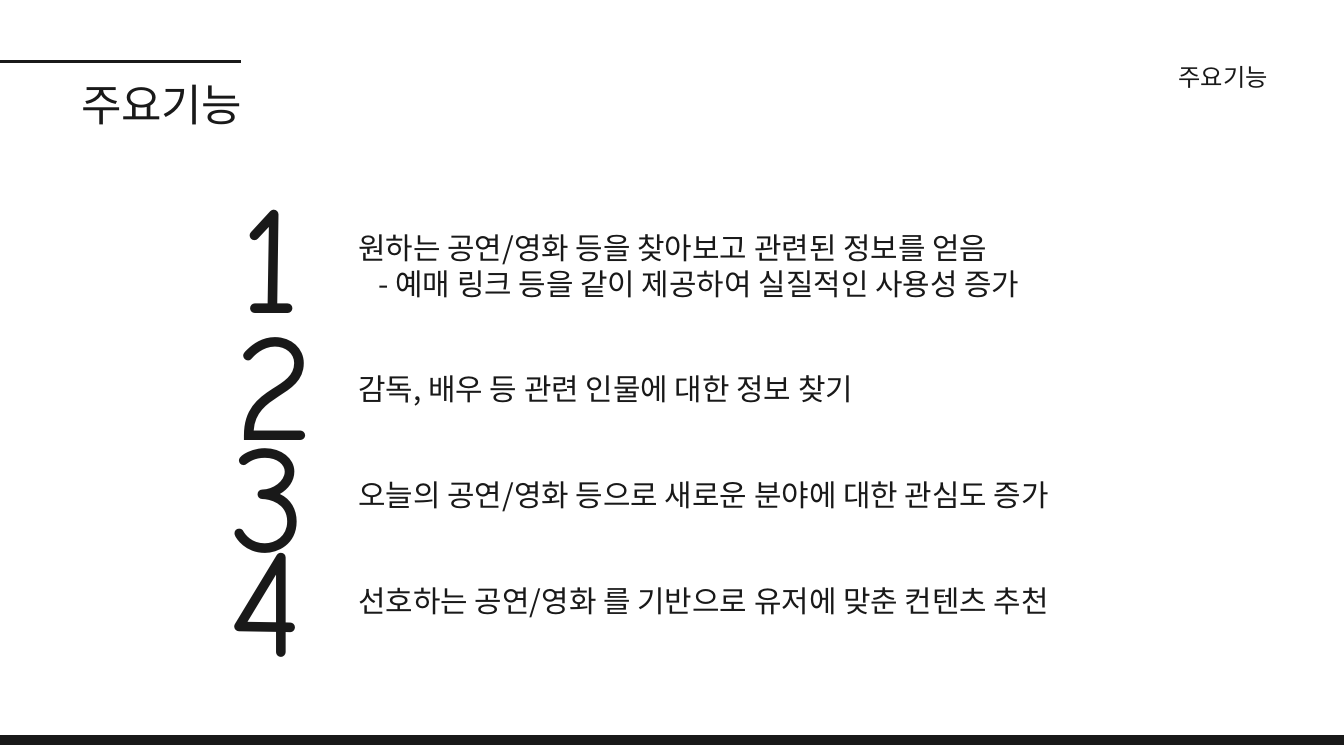
from lxml import etree
from pptx import Presentation
from pptx.dml.color import RGBColor
from pptx.enum.shapes import MSO_CONNECTOR, MSO_SHAPE
from pptx.enum.text import MSO_AUTO_SIZE, PP_ALIGN
from pptx.oxml.ns import qn
from pptx.util import Pt

PX = 9144  # 100 px to the inch
LEFT, RIGHT = PP_ALIGN.LEFT, PP_ALIGN.RIGHT
FIT = MSO_AUTO_SIZE.SHAPE_TO_FIT_TEXT
RECT, STRAIGHT = MSO_SHAPE.RECTANGLE, MSO_CONNECTOR.STRAIGHT
COLORS = {"ink": "191919", "paper": "FFFFFF"}
SANS, COMIC = "Noto Sans CJK KR", "Comic Neue"
LEAD = 37.8


class Page:
    def __init__(self, slide):
        self.slide = slide
        self.shapes = slide.shapes
        self.ink = RGBColor.from_string(COLORS["ink"])
        fill = slide.background.fill
        fill.solid()
        fill.fore_color.rgb = RGBColor.from_string(COLORS["paper"])

    def bar(self, x, y, w, h):
        bar = self.shapes.add_shape(RECT, x * PX, y * PX, w * PX, h * PX)
        bar.shadow.inherit = False
        bar.fill.solid()
        bar.fill.fore_color.rgb = self.ink
        bar.line.color.rgb = self.ink
        bar.line.width = Pt(1.5)

    def rule(self, x, y, end):
        rule = self.shapes.add_connector(STRAIGHT, x * PX, y * PX, end * PX, y * PX)
        rule.line.color.rgb = self.ink
        rule.line.width = Pt(3)
        etree.SubElement(rule._element.spPr, qn("a:effectLst"))

    def text(self, box, lines, size, lead, font=SANS, align=LEFT, track=0):
        """Each line is (text, space before in points, indent in px)."""
        x, y, w, h = (n * PX for n in box)
        frame = self.shapes.add_textbox(x, y, w, h).text_frame
        frame.word_wrap = True
        frame.auto_size = FIT
        frame.margin_left = frame.margin_right = 0
        frame.margin_top = frame.margin_bottom = 0
        for i, (words, gap, indent) in enumerate(lines):
            para = frame.add_paragraph() if i else frame.paragraphs[0]
            para.alignment = align
            para.line_spacing = Pt(lead)
            if gap:
                para.space_before = Pt(gap)
            if indent:
                para._p.get_or_add_pPr().set("marL", str(indent * PX))
            run = para.add_run()
            run.text = words
            run.font.size = Pt(size)
            run.font.name = font
            run.font.color.rgb = self.ink
            props = run._r.get_or_add_rPr()
            etree.SubElement(props, qn("a:ea")).set("typeface", font)
            if track:
                props.set("spc", str(track))


def main():
    deck = Presentation()
    deck.slide_width, deck.slide_height = 2000 * PX, 1125 * PX
    page = Page(deck.slides.add_slide(deck.slide_layouts[6]))

    page.bar(0, 1095, 2000, 13)
    page.text((1463, 85, 424, 46), [("주요기능", 0, 0)], 26, 36.4, align=RIGHT)
    page.rule(0, 91, 358)

    gap = 2 * LEAD
    features = [
        ("원하는 공연/영화 등을 찾아보고 관련된 정보를 얻음", 0, 0),
        ("- 예매 링크 등을 같이 제공하여 실질적인 사용성 증가", 0, 30),
        ("감독, 배우 등 관련 인물에 대한 정보 찾기", gap, 0),
        ("오늘의 공연/영화 등으로 새로운 분야에 대한 관심도 증가", gap, 0),
        ("선호하는 공연/영화 를 기반으로 유저에 맞춘 컨텐츠 추천", gap, 0),
    ]
    page.text((533, 343, 1142, 586), features, 32, LEAD)
    page.text((108, 103, 252, 85), [("주요기능", 0, 0)], 47.1, 65.9,
              align=RIGHT, track=-70)

    spots = [(358, 194), (349, 383), (341, 549), (341, 704)]
    for count, (x, y) in enumerate(spots, 1):
        page.text((x, y, 137, 321), [(str(count), 0, 0)], 163.6, 229, COMIC)

    deck.save("out.pptx")


if __name__ == "__main__":
    main()
